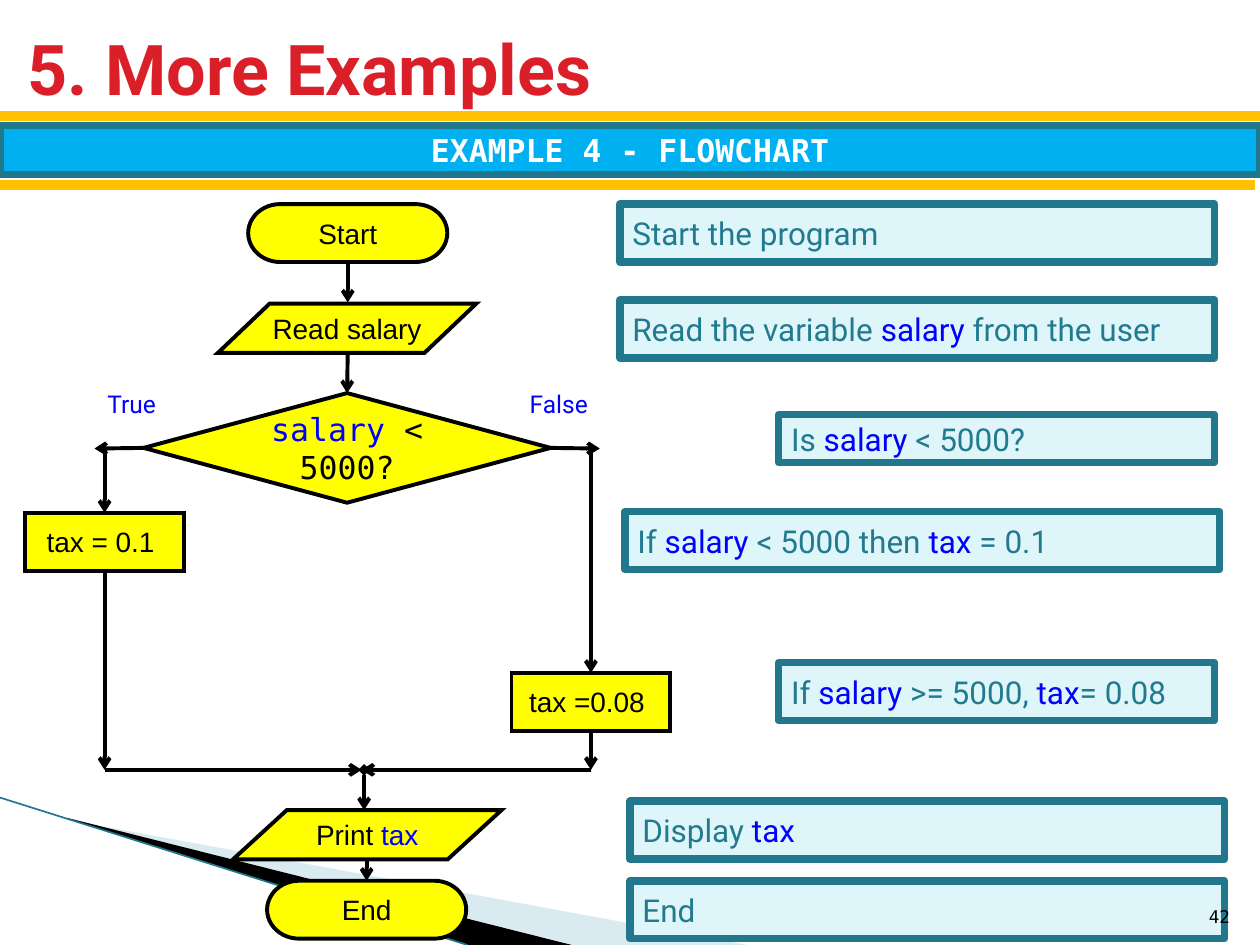
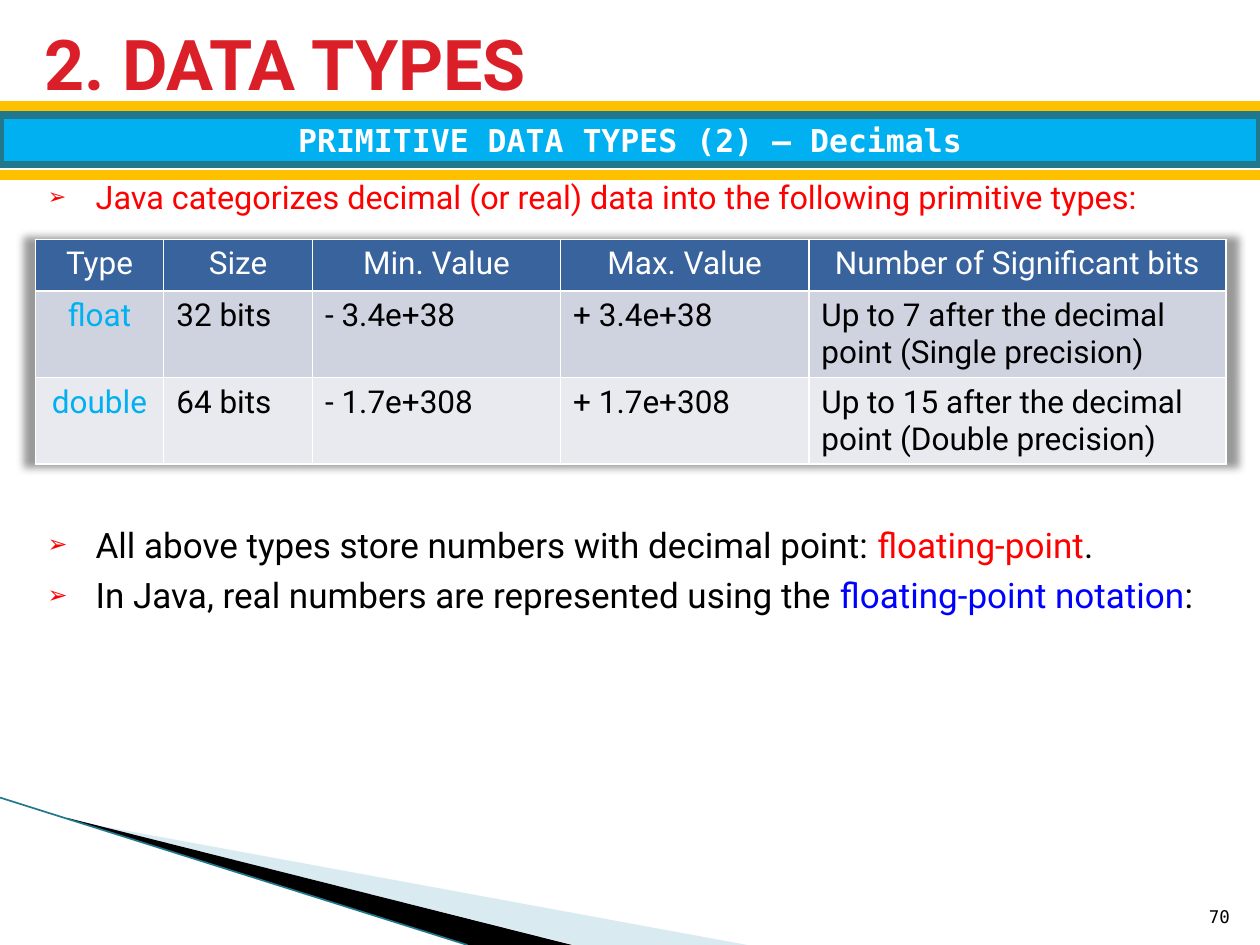
from dataclasses import dataclass

from lxml.etree import SubElement
from pptx import Presentation
from pptx.dml.color import RGBColor
from pptx.enum.shapes import MSO_CONNECTOR, MSO_SHAPE
from pptx.enum.text import MSO_ANCHOR, MSO_AUTO_SIZE, PP_ALIGN
from pptx.oxml import parse_xml
from pptx.oxml.ns import nsdecls, qn
from pptx.util import Emu, Inches, Pt

# The slide is a grid of 100 columns and 75 rows
COLS, ROWS = 100, 75
CELL = Inches(0.1)
TOP, LEFT, BASE, RIGHT = range(4)


@dataclass(frozen=True)
class Theme:
    sans: str = "Roboto"
    mono: str = "DejaVu Sans Mono"
    plain: str = "Arial"
    red: str = "FF0000"
    title: str = "DA1F28"
    gold: str = "FFC000"
    sky: str = "00B0F0"
    teal: str = "21788D"
    ink: str = "227A8F"
    pale: str = "DEF5FA"
    mist: str = "A0CBDC"
    blue: str = "0000FF"
    yellow: str = "FFFF00"
    black: str = "000000"
    white: str = "FFFFFF"
    head: str = "39639D"
    rows: tuple = ("CED3DF", "E8EAEF")
    edge: float = 4.33
    stroke: float = 2.25


T = Theme()

# Text styles: typeface, size, colour and the colour of *marked* words
HEAD = dict(name=T.sans, size=40, color=T.title, bold=True)
BAND = dict(name=T.mono, size=18, color=T.white, bold=True)
NOTE = dict(name=T.sans, size=18, color=T.ink, mark=T.blue)
STEP = dict(name=T.plain, size=16, color=T.black, mark=T.blue)
TEST = dict(name=T.mono, size=18, color=T.black, mark=T.blue)
LABEL = dict(name=T.sans, size=14, color=T.blue)
PAGE = dict(name=T.mono, size=10, color=T.black)
LEAD = dict(name=T.sans, size=18.5, color=T.red)
POINT = dict(name=T.sans, size=20, color=T.black)
CELLS = dict(name=T.sans, size=18, color=T.black, mark=T.sky)


# Helpers
def rgb(code):
    return RGBColor.from_string(code)


def grid(*cells):
    return [Emu(round(n * CELL)) for n in cells]


def assign(thing, **values):
    for key, value in values.items():
        setattr(thing, key, value)


def write(frame, text, style, align=PP_ALIGN.LEFT, **layout):
    """Write one paragraph; words between asterisks take the mark colour."""
    assign(frame, **{"word_wrap": True, "auto_size": MSO_AUTO_SIZE.NONE, **layout})
    para = frame.paragraphs[0]
    para.alignment = align
    for i, part in enumerate(text.split("*")):
        if part:
            run = para.add_run()
            run.text = part
            assign(run.font, name=style["name"], size=Pt(style["size"]),
                   bold=style.get("bold", False))
            run.font.color.rgb = rgb(style["mark" if i % 2 else "color"])
    return para


def box(slide, kind, at, fill, edge, width, sharp=True):
    shape = slide.shapes.add_shape(kind, *grid(*at))
    shape.shadow.inherit = False
    shape.fill.solid()
    shape.fill.fore_color.rgb = rgb(fill)
    shape.line.color.rgb = rgb(edge)
    shape.line.width = Pt(width)
    if sharp:
        SubElement(shape._element.spPr.find(qn("a:ln")), qn("a:miter"), lim="800000")
    return shape


def label(slide, at, text, style, align, **layout):
    area = slide.shapes.add_textbox(*grid(*at))
    return write(area.text_frame, text, style, align, **layout)


def line(slide, start, end, color=T.black, width=T.stroke, head=None, tail=None):
    """Draw a line between grid points or (shape, side) pairs."""
    ends = [start, end]
    fixed = [not isinstance(e[0], (int, float)) for e in ends]
    spots = [n for e, f in zip(ends, fixed) for n in ((0, 0) if f else e)]
    link = slide.shapes.add_connector(MSO_CONNECTOR.STRAIGHT, *grid(*spots))
    for e, f, join in zip(ends, fixed, (link.begin_connect, link.end_connect)):
        if f:
            join(*e)
    link.line.color.rgb = rgb(color)
    link.line.width = Pt(width)
    props = link._element.spPr
    for tag, kind in (("a:headEnd", head), ("a:tailEnd", tail)):
        if kind:
            SubElement(props.find(qn("a:ln")), qn(tag), type=kind)
    SubElement(props, qn("a:effectLst"))


def arrow(slide, start, end, head=None):
    line(slide, start, end, head=head, tail="arrow")


# Parts that both slides share
def wedge(slide, points, color, alpha=None):
    spots = [grid(*p) for p in points]
    path = slide.shapes.build_freeform(*spots[0])
    path.add_line_segments(spots[1:], close=True)
    shape = path.convert_to_shape()
    shape.shadow.inherit = False
    shape.fill.solid()
    shape.fill.fore_color.rgb = rgb(color)
    shape.line.fill.background()
    if alpha:
        tint = shape._element.spPr.find(qn("a:solidFill"))[0]
        SubElement(tint, qn("a:alpha"), val=str(alpha * 1000))


def swoosh(slide):
    wedge(slide, [(5.5, 65.1), (59.3, ROWS), (45.6, ROWS), (5.5, 65)], T.mist, 40)
    wedge(slide, [(5.3, 64.9), (45.4, ROWS), (37.1, ROWS), (5.4, 65)], T.black)
    line(slide, (0, 63.3), (37.1, ROWS), T.teal, 0.95)


def header(slide, title, at, top, text, slip=0):
    name = slide.shapes.title
    assign(name, **dict(zip(("left", "top", "width", "height"), grid(*at))))
    write(name.text_frame, title, HEAD, vertical_anchor=MSO_ANCHOR.MIDDLE)
    line(slide, (0, top), (COLS, top), T.gold, 6)
    line(slide, (0, top + 5.5), (COLS - slip, top + 5.5), T.gold, 6)
    band = box(slide, MSO_SHAPE.RECTANGLE, (0, top + 0.75, COLS, 3.9),
               T.sky, T.teal, T.edge)
    write(band.text_frame, text, BAND, PP_ALIGN.CENTER,
          vertical_anchor=MSO_ANCHOR.MIDDLE)


def number(slide, text):
    label(slide, (94.6, 70.1, 4, 4), text, PAGE, PP_ALIGN.RIGHT,
          vertical_anchor=MSO_ANCHOR.BOTTOM)


# Flowchart slide
def card(slide, at, text):
    shape = box(slide, MSO_SHAPE.RECTANGLE, at, T.pale, T.teal, T.edge, False)
    write(shape.text_frame, text, NOTE, vertical_anchor=MSO_ANCHOR.MIDDLE)


def step(slide, kind, at, text, style=STEP, wrap=False):
    shape = box(slide, kind, at, T.yellow, T.black, T.stroke)
    write(shape.text_frame, text, style, PP_ALIGN.CENTER, word_wrap=wrap,
          vertical_anchor=MSO_ANCHOR.MIDDLE)
    return shape


def flow(slide):
    swoosh(slide)
    header(slide, "5. More Examples", (1.2, 1.1, 95.5, 8.5), 9.2,
           "EXAMPLE 4 - FLOWCHART", slip=0.4)

    wide, slim, tall = 47.2, 34.6, 4.6
    for x, y, w, h, text in (
            (49.2, 16.2, wide, tall, "Start the program"),
            (49.2, 23.8, wide, tall, "Read the variable *salary *from the user"),
            (61.8, 32.9, slim, 3.8, "Is *salary* < 5000?"),
            (49.6, 40.6, wide, tall, "If *salary *< 5000 then *tax *= 0.1"),
            (61.8, 52.6, slim, tall, "If *salary *>= 5000, *tax*= 0.08"),
            (50, 63.6, wide, tall, "Display *tax*"),
            (50, 69.9, wide, tall, "End")):
        card(slide, (x, y, w, h), text)

    ends, data = MSO_SHAPE.FLOWCHART_TERMINATOR, MSO_SHAPE.FLOWCHART_DATA
    task = MSO_SHAPE.FLOWCHART_PROCESS
    start = step(slide, ends, (19.7, 16.2, 15.8, tall), "Start")
    step(slide, data, (17.3, 24.1, 20.5, 3.9), "Read salary")
    test = step(slide, MSO_SHAPE.FLOWCHART_DECISION, (11.4, 31.2, 32.3, 8.7),
                "*salary* < 5000?", TEST, True)
    low = step(slide, task, (2, 40.7, 12.6, tall), "tax = 0.1 ")
    high = step(slide, task, (40.6, 53.4, 12.6, tall), "tax =0.08 ")
    step(slide, data, (18.5, 64.3, 21.3, 3.9), "Print *tax*")
    stop = step(slide, ends, (21.2, 69.9, 15.8, tall), "End")

    # Arrows: down to the test, out to both sides, back to the middle
    mid, left, right, fork, join = 27.6, 8.3, 46.9, 35.6, 61.1
    arrow(slide, (start, BASE), (mid, 24))
    arrow(slide, (mid, 27.9), (test, TOP))
    arrow(slide, (test, LEFT), (left - 0.8, fork))
    arrow(slide, (test, RIGHT), (right + 0.7, fork))
    for x, task_box in ((left, low), (right, high)):
        arrow(slide, (x, fork), (task_box, TOP))
        arrow(slide, (task_box, BASE), (x, join))
        arrow(slide, (x, join), (28.7, join))
    arrow(slide, (28.9, join), (28.9, 64.3), head="diamond")
    arrow(slide, (29.1, 68.2), (stop, TOP))

    for x, text in ((6.7, "True"), (40.6, "False")):
        label(slide, (x, 30.4, 7.5, 3.4), text, LABEL, PP_ALIGN.CENTER)
    number(slide, "42")


# Data type slide
def bullet(para):
    props = para._p.get_or_add_pPr()
    indent = Inches(0.38)
    props.set("marL", str(indent))
    props.set("indent", str(-indent))
    tint = SubElement(props, qn("a:buClr"))
    SubElement(tint, qn("a:srgbClr"), val=T.red)
    SubElement(props, qn("a:buSzPct"), val="68000")
    SubElement(props, qn("a:buFont"), typeface=T.plain)
    SubElement(props, qn("a:buChar"), char="➢")
    assign(para, line_spacing=0.9, space_before=Pt(0))


def border(cell):
    props = cell._tc.get_or_add_tcPr()
    for side in "LRTB":
        edge = SubElement(props, qn("a:ln" + side), w=str(Pt(1)))
        tint = SubElement(edge, qn("a:solidFill"))
        SubElement(tint, qn("a:srgbClr"), val=T.white)


def table(slide, at, widths, heights, rows):
    grid_tab = slide.shapes.add_table(len(rows), len(widths), *grid(*at)).table
    for col, width in zip(grid_tab.columns, grid(*widths)):
        col.width = width
    for row, height in zip(grid_tab.rows, grid(*heights)):
        row.height = height
    for r, texts in enumerate(rows):
        for c, text in enumerate(texts):
            cell = grid_tab.cell(r, c)
            border(cell)
            cell.fill.solid()
            cell.fill.fore_color.rgb = rgb(T.rows[r - 1] if r else T.head)
            style = CELLS if r else {**CELLS, "color": T.white}
            middle = r == 0 or c == 0
            write(cell.text_frame, text, style,
                  PP_ALIGN.CENTER if middle else PP_ALIGN.LEFT)
    # Soft shadow around the whole table
    grid_tab._tbl.tblPr.insert(0, parse_xml(
        f'<a:effectLst {nsdecls("a")}><a:outerShdw blurRad="63500" sx="102000" '
        'sy="102000" algn="ctr" rotWithShape="0"><a:prstClr val="black">'
        '<a:alpha val="40000"/></a:prstClr></a:outerShdw></a:effectLst>'))


def types(slide):
    swoosh(slide)
    header(slide, "2. DATA TYPES", (2.5, 1.7, 94.7, 6.5), 8.4,
           "PRIMITIVE DATA TYPES (2) – Decimals")
    left, width, tall = 2.8, 94.5, 4.7

    body = slide.placeholders[1]
    assign(body, **dict(zip(("left", "top", "width", "height"),
                            grid(left, 13.9, width, tall))))
    bullet(write(body.text_frame, "Java categorizes decimal (or real) data into "
                 "the following primitive types:", LEAD, PP_ALIGN.JUSTIFY))

    table(slide, (left, 19, width, 17.8), (10.2, 11.8, 19.7, 19.7, 33.1),
          (4.1, 6.85, 6.85), (
        ("Type", "Size", "Min. Value", "Max. Value", "Number of Significant bits"),
        ("*float*", "32 bits", "- 3.4e+38", "+ 3.4e+38",
         "Up to 7 after the decimal point (Single precision)"),
        ("*double*", "64 bits", "- 1.7e+308", "+ 1.7e+308",
         "Up to 15 after the decimal point (Double precision)")))

    for y, mark, text in (
            (41.4, T.red, "All above types store numbers with decimal point: "
                          "*floating-point*."),
            (45.4, T.blue, "In Java, real numbers are represented using the "
                           "*floating-point notation*:")):
        bullet(label(slide, (left, y, width, tall), text, {**POINT, "mark": mark},
                     PP_ALIGN.JUSTIFY))
    number(slide, "70")


def main():
    deck = Presentation()
    assign(deck, slide_width=COLS * CELL, slide_height=ROWS * CELL)
    for layout, build in ((5, flow), (1, types)):
        build(deck.slides.add_slide(deck.slide_layouts[layout]))
    deck.save("out.pptx")


if __name__ == "__main__":
    main()
